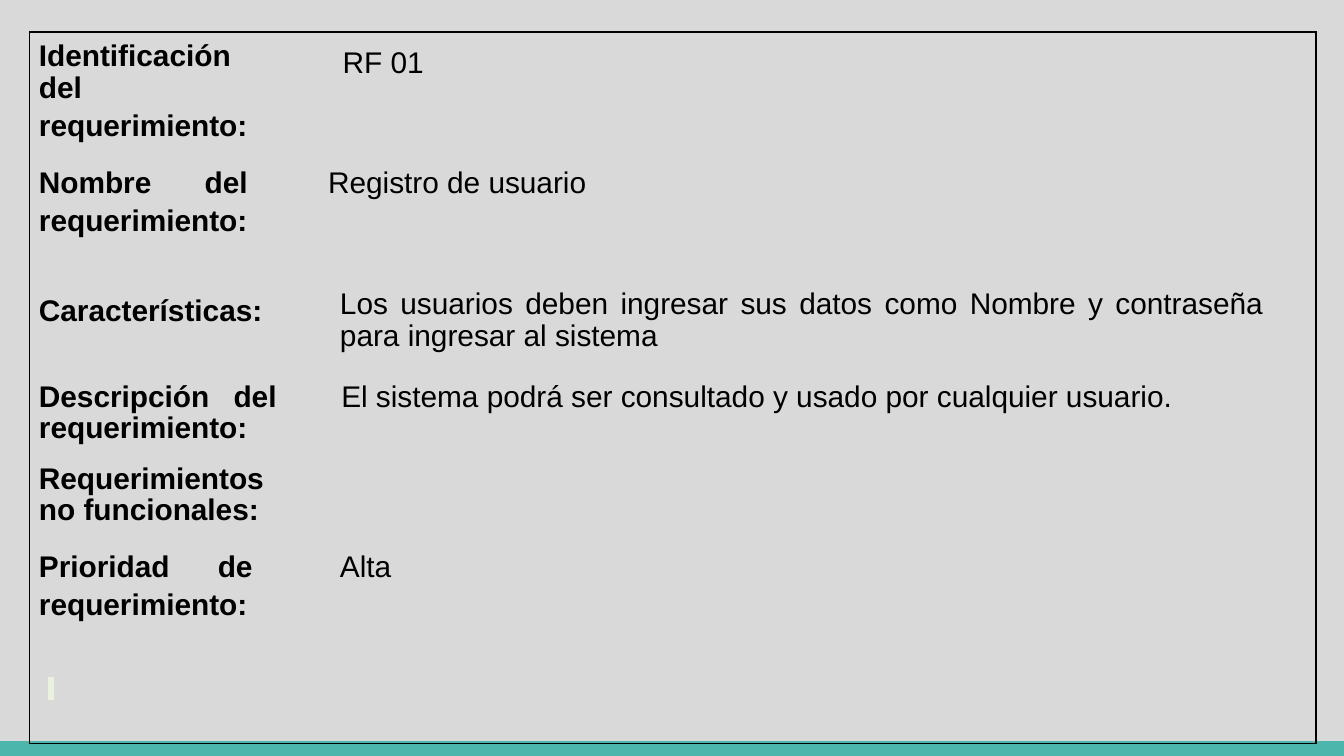
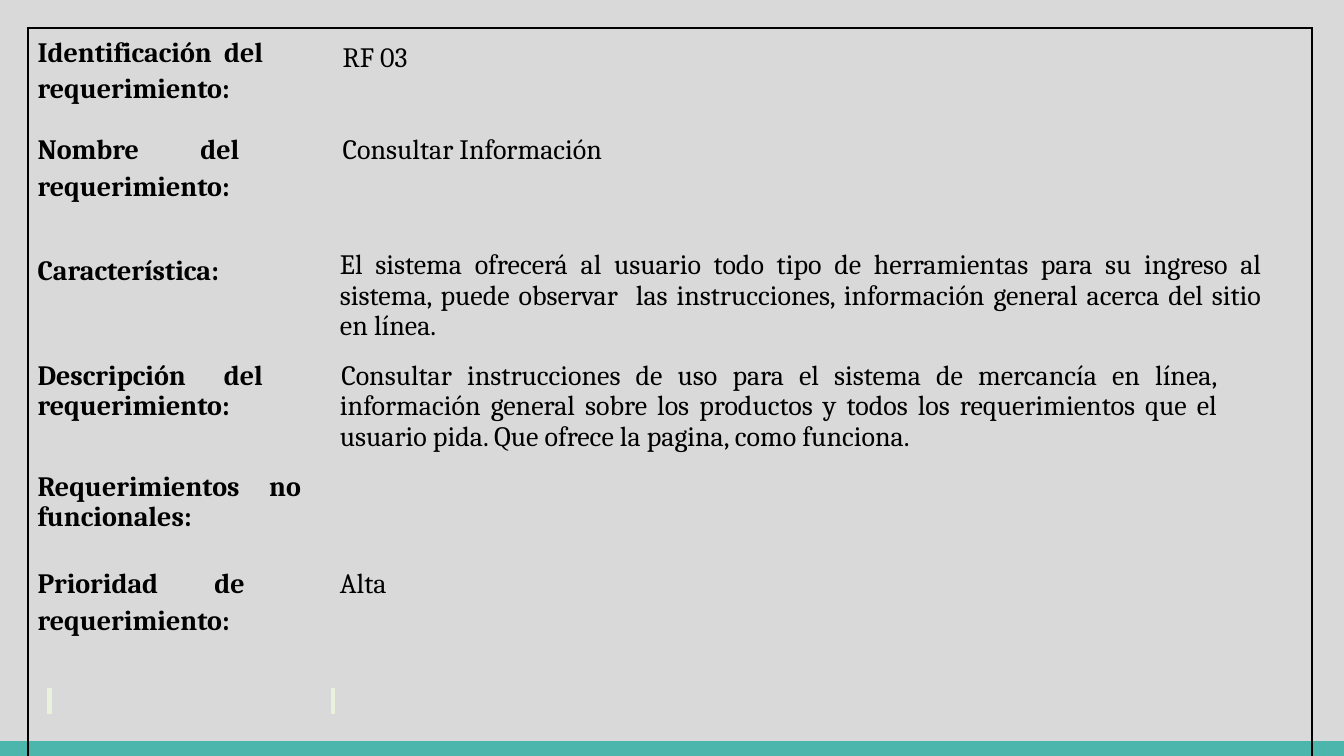
import pptx
import pptx.util
import pptx.dml.color
import pptx.enum.shapes
import pptx.enum.text
import pptx.oxml.ns
from lxml import etree

Inches, Pt = pptx.util.Inches, pptx.util.Pt
COLORS = {"page": "D9D9D9", "band": "4DB6AC", "ink": "000000", "mark": "EAF1DD"}
WIDTH = 10
HEIGHT = WIDTH * 9 / 16
BAND_HEIGHT = 0.11
TIGHT, LOOSE = 0.95, 1.15

ARIAL_REQUIREMENT = {
    "font": "Arial", "size": 16, "mark_size": 11, "marked_columns": 1,
    "at": (0.22, 0.24), "cols": (2.09, 7.48),
    "heights": (0.87, 0.95, 0.69, 0.6, 0.6, 0.95, 0.59),
    "heading_right": 0.2,
    "characteristic": "Características:",
    "values": [
        ("RF 01", 0.17, 0, 0),
        (" Registro de usuario", 0, 0, 0),
        ("Los usuarios deben ingresar sus datos como Nombre y contraseña "
         "para ingresar al sistema", 0.15, 0, 0.32),
        ("El sistema podrá ser consultado y usado por cualquier usuario.", 0.15, 0.01, 0.32),
        None,
        ("Alta", 0.15, 0, 0),
    ],
}
CAMBRIA_REQUIREMENT = {
    "font": "Cambria", "size": 15, "mark_size": 12, "marked_columns": 2,
    "at": (0.21, 0.21), "cols": (2.1, 7.45),
    "heights": (0.68, 0.9, 0.71, 0.71, 0.68, 0.9, 0.65),
    "heading_right": 0,
    "characteristic": "Característica:",
    "values": [
        ("RF 03", 0.17, 0, 0),
        ("Consultar Información", 0.17, 0, 0),
        ("El sistema ofrecerá al usuario todo tipo de herramientas para su ingreso al "
         "sistema, puede observar  las instrucciones, información general acerca del "
         "sitio en línea.", 0.15, 0, 0.3),
        ("Consultar instrucciones de uso para el sistema de mercancía en línea, "
         "información general sobre los productos y todos los requerimientos que el "
         "usuario pida. Que ofrece la pagina, como funciona.", 0.15, 0.01, 0.63),
        None,
        ("Alta", 0.15, 0, 0),
    ],
}


def rgb(name):
    """Return a named colour."""
    return pptx.dml.color.RGBColor.from_string(COLORS[name])


def add_color(parent, tag, color):
    """Add an XML element that holds a colour and return the colour element."""
    qn = pptx.oxml.ns.qn
    return etree.SubElement(etree.SubElement(parent, qn(tag)), qn("a:srgbClr"), val=COLORS[color])


def write(p, text, font, size, bold=False, spacing=LOOSE, gap=0, left=0, first=0, right=0):
    """Write one justified paragraph and return its run."""
    p.alignment = pptx.enum.text.PP_ALIGN.JUSTIFY
    p.line_spacing = spacing
    p.space_before = p.space_after = Pt(gap)
    pPr = p._p.get_or_add_pPr()
    for key, value in (("marL", left), ("indent", first), ("marR", right)):
        pPr.set(key, str(Inches(value)))
    r = p.add_run()
    r.text = text
    r.font.size, r.font.bold = Pt(size), bold
    r.font.color.rgb = rgb("ink")
    r.font.name = font
    return r


def add_band(prs, s):
    """Put the bottom band on the slide master."""
    box = (0, HEIGHT - BAND_HEIGHT, WIDTH, BAND_HEIGHT)
    sp = s.shapes.add_shape(pptx.enum.shapes.MSO_SHAPE.RECTANGLE, *map(Inches, box))
    sp.shadow.inherit = False
    sp.fill.solid()
    sp.fill.fore_color.rgb = rgb("band")
    sp.line.fill.background()
    prs.slide_master.shapes._spTree.append(sp._element)


def set_borders(cell, outer):
    """Draw the outer sides of a cell and make the inner ones transparent."""
    cell.fill.background()
    tcPr = cell._tc.get_or_add_tcPr()
    qn = pptx.oxml.ns.qn
    for i, side in enumerate("LRTB"):
        ln = etree.Element(qn(f"a:ln{side}"), w=str(Pt(1 if side in outer else 0.75)))
        color = add_color(ln, "a:solidFill", "ink")
        if side not in outer:
            etree.SubElement(color, qn("a:alpha"), val="0")
        tcPr.insert(i, ln)


def fill_labels(table, data):
    """Write the bold labels of the first column."""
    labels = [
        (["Identificación  del ", "requerimiento:"], TIGHT, 0),
        (["Nombre del  requerimiento:"], LOOSE, 12),
        ([data["characteristic"]], LOOSE, 12),
        (["Descripción del  requerimiento:"], TIGHT, 0),
        (["Requerimientos  no funcionales:"], TIGHT, 0),
        (["Prioridad de  requerimiento:"], LOOSE, 12),
    ]
    for row, (lines, spacing, gap) in enumerate(labels):
        tf = table.cell(row, 0).text_frame
        for i, line in enumerate(lines):
            p = tf.add_paragraph() if i else tf.paragraphs[0]
            write(p, line, data["font"], data["size"], bold=True,
                  spacing=LOOSE if i else spacing, gap=gap,
                  right=0 if row else data["heading_right"])


def fill_values(table, data):
    """Write the values of the second column."""
    for row, value in enumerate(data["values"]):
        if value:
            text, left, first, right = value
            loose = row not in (2, 3)
            write(table.cell(row, 1).text_frame.paragraphs[0], text, data["font"], data["size"],
                  spacing=LOOSE if loose else TIGHT, gap=12 if loose else 0,
                  left=left, first=first, right=right)


def fill_marks(table, data):
    """Put a highlighted space in the cells of the last row."""
    for col in range(data["marked_columns"]):
        cell = table.cell(len(data["heights"]) - 1, col)
        r = write(cell.text_frame.paragraphs[0], " ", data["font"], data["mark_size"],
                  left=0.08 if col else 0.07)
        rPr = r.font._element
        add_color(rPr, "a:highlight", "mark")
        rPr.insert(1, rPr[-1])


def add_requirement_table(s, data):
    """Add the framed requirement table."""
    cols, heights = data["cols"], data["heights"]
    box = (*data["at"], sum(cols), sum(heights))
    table = s.shapes.add_table(len(heights), len(cols), *map(Inches, box)).table
    table.first_row = table.horz_banding = False
    for col, width in zip(table.columns, cols):
        col.width = Inches(width)
    for i, height in enumerate(heights):
        table.rows[i].height = Inches(height)
        edge = "T" if i == 0 else "B" if i == len(heights) - 1 else ""
        for j, side in enumerate("LR"):
            cell = table.cell(i, j)
            cell.margin_left = cell.margin_right = Inches(0.07)
            cell.margin_top = cell.margin_bottom = Inches(0.07)
            set_borders(cell, side + edge)
    fill_labels(table, data)
    fill_values(table, data)
    fill_marks(table, data)


def add_requirement_slide(prs, data):
    """Add one requirement slide and return it."""
    s = prs.slides.add_slide(prs.slide_layouts[6])
    add_requirement_table(s, data)
    return s


def main():
    """Build the presentation."""
    prs = pptx.Presentation()
    prs.slide_width, prs.slide_height = Inches(WIDTH), Inches(HEIGHT)
    fill = prs.slide_master.background.fill
    fill.solid()
    fill.fore_color.rgb = rgb("page")
    slides = [add_requirement_slide(prs, data) for data in (ARIAL_REQUIREMENT, CAMBRIA_REQUIREMENT)]
    add_band(prs, slides[0])
    prs.save("out.pptx")


if __name__ == "__main__":
    main()
